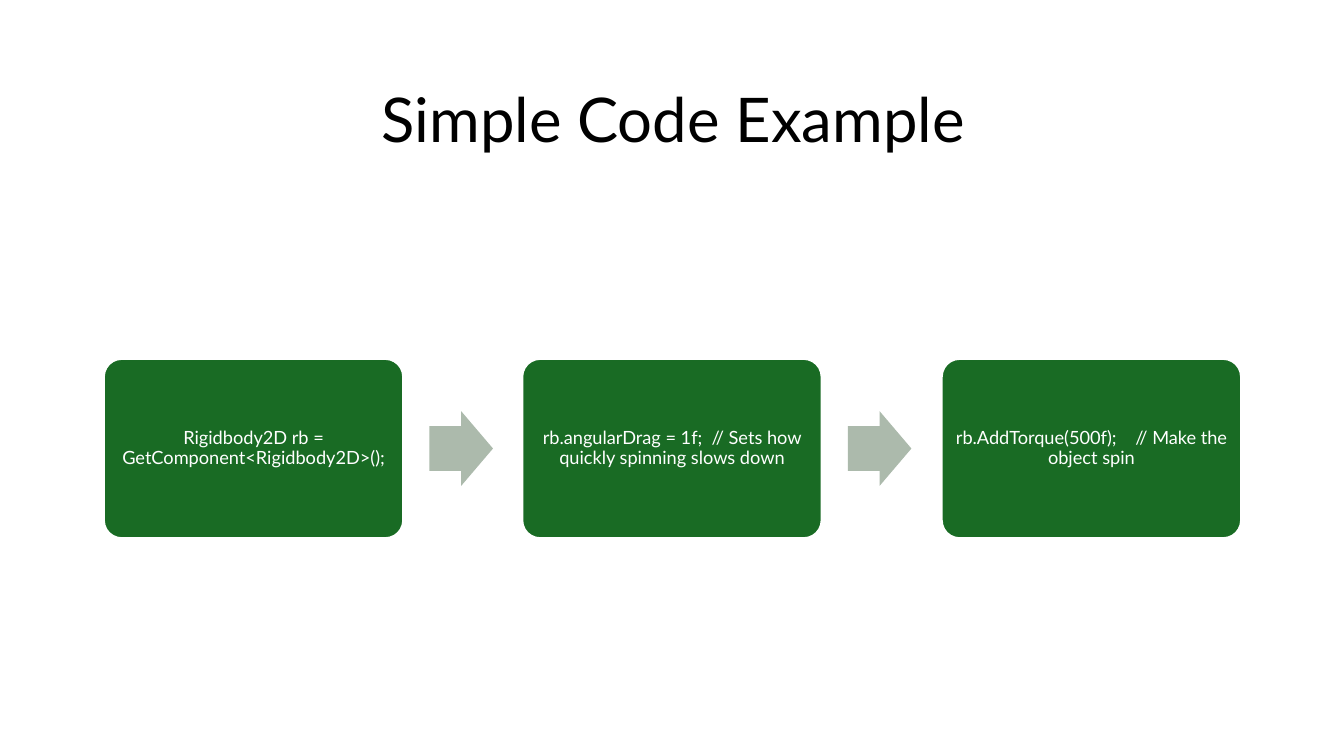
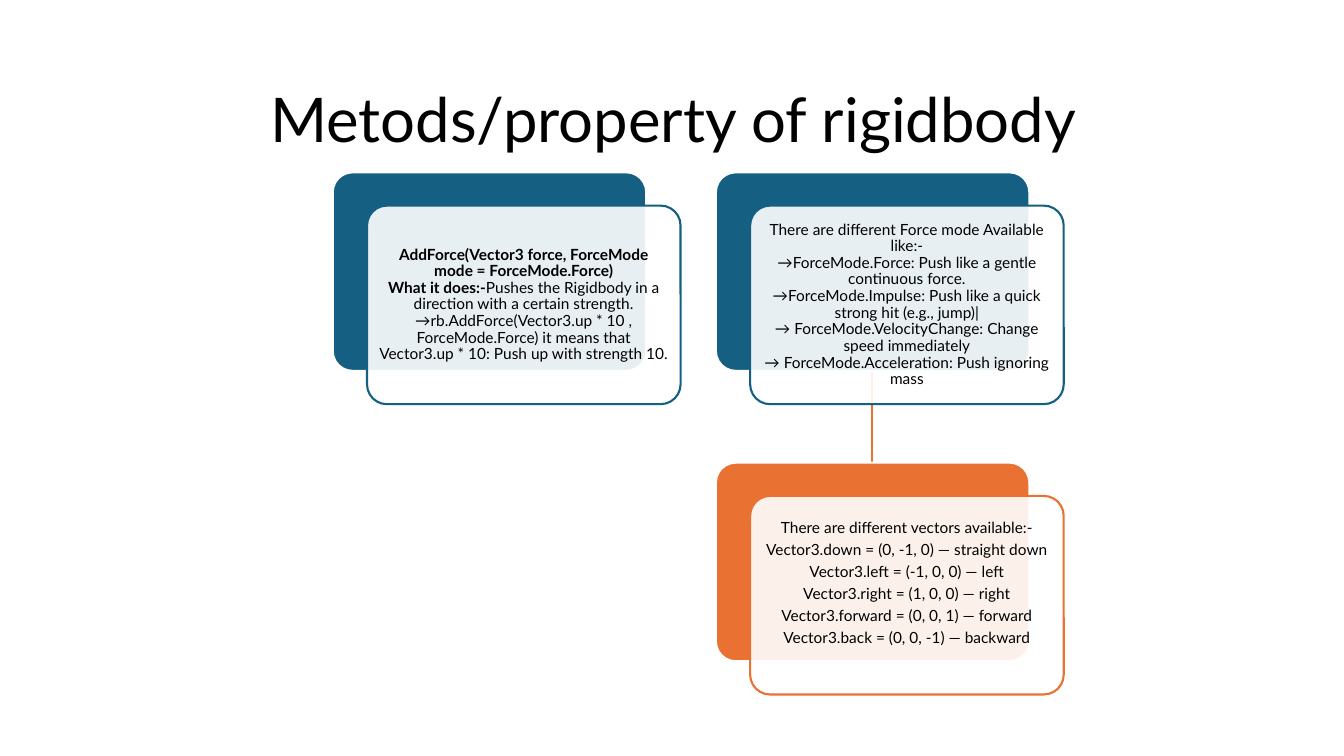
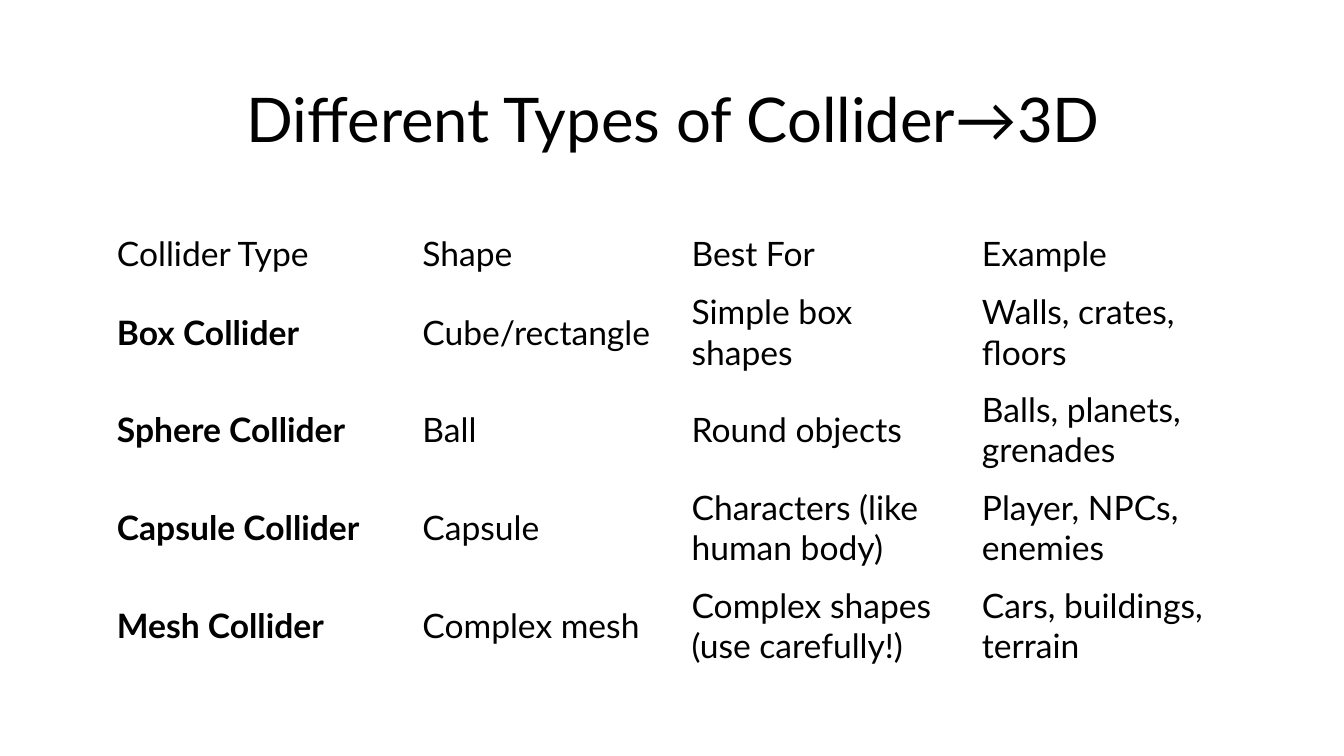
from dataclasses import dataclass
from lxml.etree import SubElement
from pptx import Presentation
from pptx.dml.color import RGBColor as RGB
from pptx.enum.shapes import MSO_CONNECTOR as LINE, MSO_SHAPE as SHAPE
from pptx.enum.text import MSO_ANCHOR as ANCHOR, PP_ALIGN as ALIGN
from pptx.oxml.ns import qn
from pptx.util import Emu, Pt


@dataclass(frozen=True)
class Theme:
    font: str = "Lato"
    ink: str = "000000"
    paper: str = "FFFFFF"
    green: str = "196B24"
    sage: str = "ACBAAC"
    blue: str = "156082"
    orange: str = "E97132"
    title: int = 44
    step: int = 13
    card: int = 11
    cell: int = 24
    rule: float = 1.5
    tight: float = 0.9
    after: float = 0.35


THEME = Theme()
SCALE = 9144  # 100 px to the inch
WIDE, HIGH = 1333, 750

STEPS = [
    "Rigidbody2D rb = GetComponent<Rigidbody2D>();",
    "rb.angularDrag = 1f;  // Sets how quickly spinning slows down",
    "rb.AddTorque(500f);    // Make the object spin",
]

FORCE_LEAD = "AddForce(Vector3 force, ForceMode mode = ForceMode.Force)\nWhat it does:-"
FORCE = [
    "Pushes the Rigidbody in a direction with a certain strength.\n"
    "→rb.AddForce(Vector3.up * 10 , ForceMode.Force) it means that "
    "Vector3.up * 10: Push up with strength 10."
]
MODES = [
    "There are different Force mode Available like:-\n"
    "→ForceMode.Force: Push like a gentle continuous force.\n"
    "→ForceMode.Impulse: Push like a quick strong hit (e.g., jump)|\n"
    "→ ForceMode.VelocityChange: Change speed immediately\n"
    "→ ForceMode.Acceleration: Push ignoring mass"
]
VECTORS = [
    "There are different vectors available:-",
    "Vector3.down = (0, -1, 0) — straight down",
    "Vector3.left = (-1, 0, 0) — left",
    "Vector3.right = (1, 0, 0) — right",
    "Vector3.forward = (0, 0, 1) — forward",
    "Vector3.back = (0, 0, -1) — backward",
]

# column, row, colour, bold lead, paragraphs, extra room below the text
CARDS = [
    (0, 0, THEME.blue, FORCE_LEAD, FORCE, 0),
    (1, 0, THEME.blue, "", MODES, 0),
    (1, 1, THEME.orange, "", VECTORS, 24),
]

COLS = [303, 267, 288, 270]
ROWS = [58, 97, 97, 97, 97]
CELLS = [
    ["Collider Type", "Shape", "Best For", "Example"],
    ["Box Collider", "Cube/rectangle", "Simple box shapes", "Walls, crates, floors"],
    ["Sphere Collider", "Ball", "Round objects", "Balls, planets, grenades"],
    ["Capsule Collider", "Capsule", "Characters (like human body)", "Player, NPCs, enemies"],
    ["Mesh Collider", "Complex mesh", "Complex shapes (use carefully!)", "Cars, buildings, terrain"],
]


def px(*nums):
    return [Emu(n * SCALE) for n in nums]


def style(para, size, color, bold=None):
    font = para.font
    font.name, font.size, font.bold = THEME.font, Pt(size), bold
    font.color.rgb = RGB.from_string(color)


def add_runs(para, text, bold=None):
    """Add text, turning each newline into a line break."""
    for i, line in enumerate(text.split("\n")):
        if i:
            para.add_line_break()
        run = para.add_run()
        run.text = line
        if bold:
            run.font.bold = True


def write(frame, paras, size, color, lead=""):
    """Fill a frame with centred paragraphs; lead is bold and comes first."""
    frame.word_wrap = True
    frame.vertical_anchor = ANCHOR.MIDDLE
    for i, text in enumerate(paras):
        para = frame.add_paragraph() if i else frame.paragraphs[0]
        para.alignment = ALIGN.CENTER
        para.line_spacing = THEME.tight
        if i < len(paras) - 1:
            para.space_after = Pt(size * THEME.after)
        style(para, size, color)
        if lead and not i:
            add_runs(para, lead, True)
        add_runs(para, text)


def pad(frame, side, below=0):
    frame.margin_left, frame.margin_top, frame.margin_right = px(side, side, side)
    frame.margin_bottom = px(side + below)[0]


def add_block(slide, kind, box, fill, edge=None, adj=(0.1,)):
    shape = slide.shapes.add_shape(kind, *px(*box))
    shape.shadow.inherit = False
    for i, part in enumerate(adj):
        shape.adjustments[i] = part
    shape.fill.solid()
    shape.fill.fore_color.rgb = RGB.from_string(fill)
    if edge:
        shape.line.color.rgb = RGB.from_string(edge)
        shape.line.width = Pt(THEME.rule)
    else:
        shape.line.fill.background()
    return shape


def fade(shape, share):
    """Make a solid fill opaque by the given share in percent."""
    tint = shape.fill._xPr.find(qn("a:solidFill"))[0]
    SubElement(tint, qn("a:alpha"), val=str(share * 1000))


def add_link(slide, x, top, end, color):
    link = slide.shapes.add_connector(LINE.STRAIGHT, *px(x, top, x, end))
    link.line.color.rgb = RGB.from_string(color)
    link.line.width = Pt(THEME.rule)
    SubElement(link._element.spPr, qn("a:effectLst"))


def add_page(deck, title):
    slide = deck.slides.add_slide(deck.slide_layouts[6])
    box = slide.shapes.add_textbox(*px(167, 60, 1002, 124))
    write(box.text_frame, [title], THEME.title, THEME.ink)
    return slide


def add_flow(slide, box, steps):
    """Lay equal steps across the box, with an arrow in each gap."""
    x, y, wide, high = box
    span, tip, tall = 297, 63, 74
    last = len(steps) - 1
    for i, text in enumerate(steps):
        left = x + i * (wide - span) // last
        step = add_block(slide, SHAPE.ROUNDED_RECTANGLE, (left, y, span, high),
                         THEME.green, THEME.paper)
        pad(step.text_frame, 5)
        write(step.text_frame, [text], THEME.step, THEME.paper)
        if i < last:
            spot = (left + span + 26, y + (high - tall) // 2, tip, tall)
            add_block(slide, SHAPE.RIGHT_ARROW, spot, THEME.sage, adj=(0.6, 0.5))


def add_card(slide, box, color, lead, paras, below):
    """Draw a solid plate with a pale text plate set down and right of it."""
    x, y, wide, high = box
    add_block(slide, SHAPE.ROUNDED_RECTANGLE, box, color, THEME.paper)
    front = add_block(slide, SHAPE.ROUNDED_RECTANGLE, (x + 34, y + 33, wide, high),
                      THEME.paper, color)
    fade(front, 90)
    pad(front.text_frame, 5, below)
    write(front.text_frame, paras, THEME.card, THEME.ink, lead)


def add_tree(slide, x, y, cards):
    wide, high, across, down = 311, 197, 380, 288
    add_link(slide, x + across + wide // 2, y + high, y + down, THEME.orange)
    for col, row, *card in cards:
        add_card(slide, (x + col * across, y + row * down, wide, high), *card)


def add_grid(slide, x, y, cols, rows, cells):
    frame = slide.shapes.add_table(len(rows), len(cols), *px(x, y, sum(cols), sum(rows)))
    table = frame.table
    table.first_row = table.horz_banding = False
    for col, wide in zip(table.columns, px(*cols)):
        col.width = wide
    for r, (row, high) in enumerate(zip(table.rows, px(*rows))):
        row.height = high
        for c, cell in enumerate(row.cells):
            cell.fill.background()
            cell.vertical_anchor = ANCHOR.MIDDLE
            cell.margin_left, cell.margin_right = px(13, 13)
            cell.margin_top, cell.margin_bottom = px(7, 7)
            cell.text = cells[r][c]
            style(cell.text_frame.paragraphs[0], THEME.cell, THEME.ink, r > 0 and c == 0)


def main():
    deck = Presentation()
    deck.slide_width, deck.slide_height = px(WIDE, HIGH)
    add_flow(add_page(deck, "Simple Code Example"), (103, 356, 1128, 178), STEPS)
    add_tree(add_page(deck, "Metods/property of rigidbody"), 330, 171, CARDS)
    add_grid(add_page(deck, "Different Types of Collider→3D"), 103, 223, COLS, ROWS, CELLS)
    deck.save("out.pptx")


if __name__ == "__main__":
    main()
